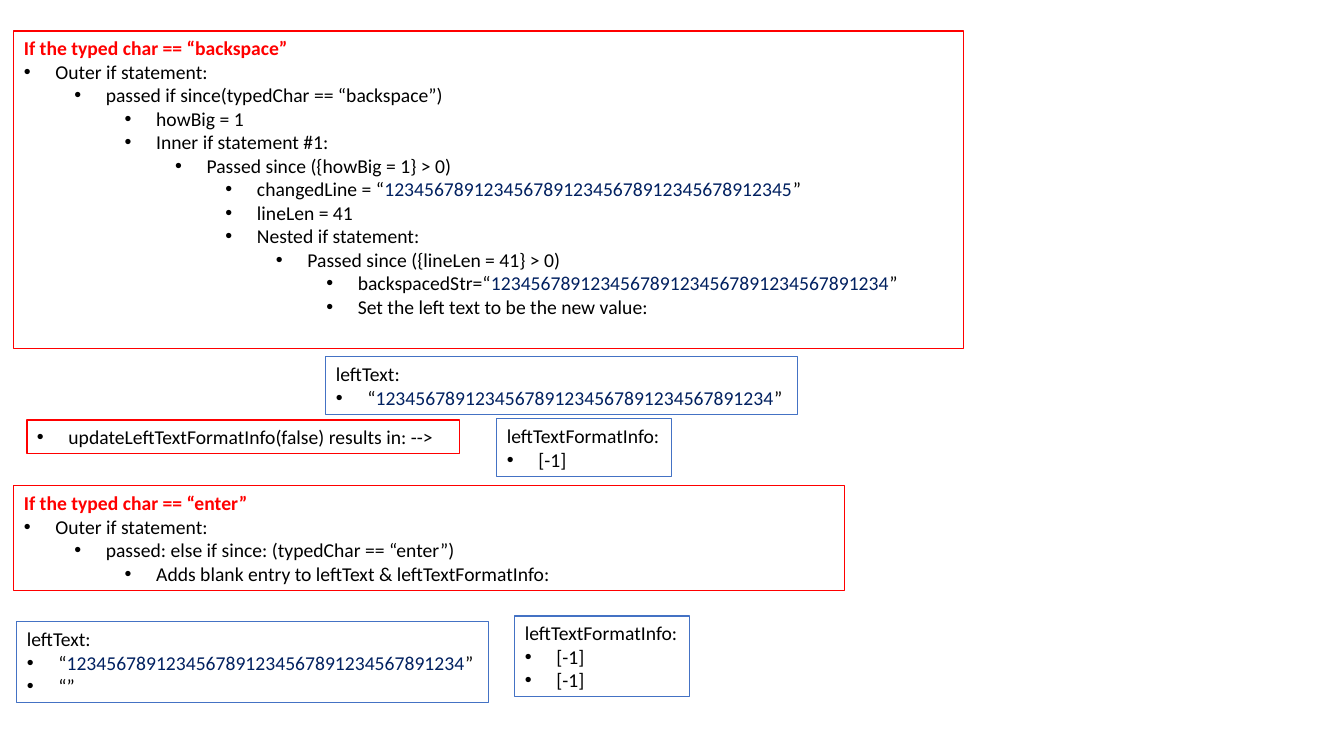
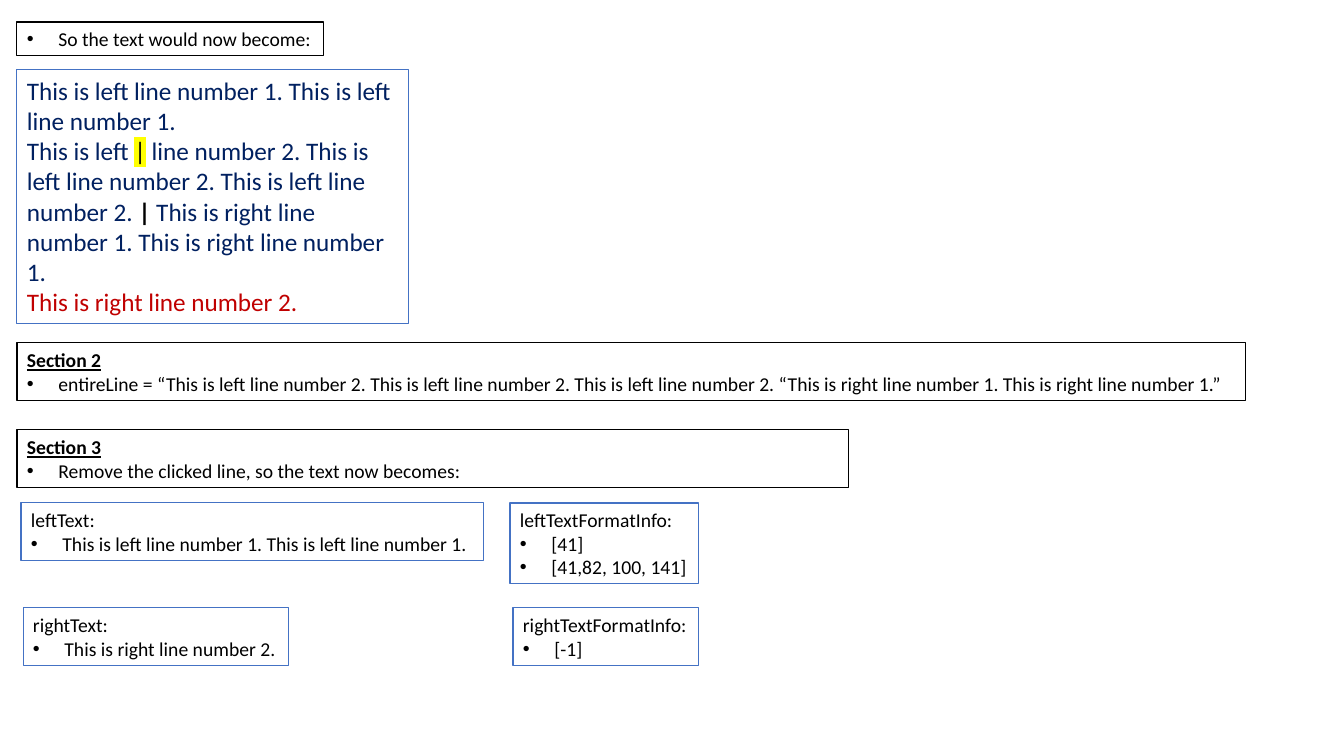
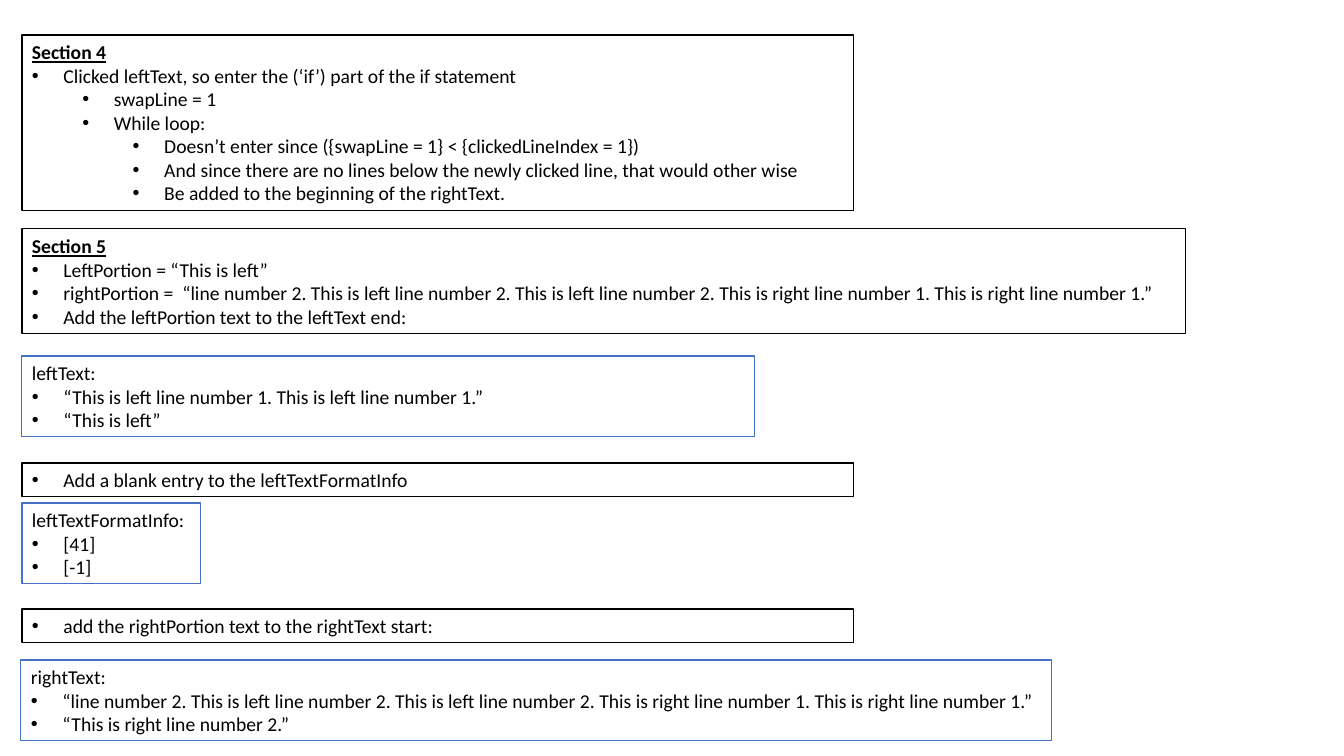
from dataclasses import dataclass

from lxml import etree
from pptx import Presentation
from pptx.dml.color import RGBColor
from pptx.enum.text import MSO_ANCHOR, MSO_AUTO_SIZE
from pptx.oxml.ns import qn
from pptx.util import Pt

TOP = MSO_ANCHOR.TOP
FIXED = MSO_AUTO_SIZE.NONE
SCALE = 914400 / 100.8


@dataclass(frozen=True)
class Theme:
    font: str = "Calibri"
    bullet_font: str = "Arial"
    body: int = 14
    sample: int = 18
    black: str = "000000"
    red: str = "FF0000"
    blue: str = "4472C4"
    navy: str = "002060"
    crimson: str = "C00000"
    yellow: str = "FFFF00"
    border: float = 0.75
    indent: float = 22.5
    step: int = 36
    row: float = 23.7
    margin: float = 10.3


T = Theme()
PLAIN = {}
NAVY = {"color": T.navy}
CRIMSON = {"color": T.crimson}
CONDITION = {"color": T.red, "bold": True}
SECTION = {"bold": True, "underline": True}
CURSOR = {"highlight": T.yellow}
JOIN = {"bold": True}

DIGITS = "1234567891234567891234567891234567891234"
LEFT_1 = "This is left line number 1. This is left line number 1."
LEFT_2 = " ".join(["This is left line number 2."] * 3)
RIGHT_1 = "This is right line number 1. This is right line number 1."
RIGHT_2 = "This is right line number 2."
RIGHT_PORTION = f"“{LEFT_2.removeprefix('This is left ')} {RIGHT_1}”"


def px(n):
    return round(n * SCALE)


def quoted(digits, label=""):
    return [(label + "“", PLAIN), (digits, NAVY), ("”", PLAIN)]


def style_run(r, size, color=T.black, bold=False, underline=False, highlight=None):
    r.font.name = T.font
    r.font.size = Pt(size)
    r.font.bold = bold
    r.font.underline = underline
    r.font.color.rgb = RGBColor.from_string(color)
    if highlight:
        mark = etree.Element(qn("a:highlight"))
        etree.SubElement(mark, qn("a:srgbClr")).set("val", highlight)
        r.font._element.find(qn("a:solidFill")).addnext(mark)


def add_bullet(p, level):
    p.level = level
    pPr = p._p.get_or_add_pPr()
    pPr.set("marL", str(Pt(T.indent + level * T.step)))
    pPr.set("indent", str(-Pt(T.indent)))
    etree.SubElement(pPr, qn("a:buFont")).set("typeface", T.bullet_font)
    etree.SubElement(pPr, qn("a:buChar")).set("char", "•")


def panel(s, box, border, lines, rows=None, size=T.body):
    x, y, w = box
    h = round(T.margin + T.row * size / T.body * (rows or len(lines)))
    sp = s.shapes.add_textbox(px(x), px(y), px(w), px(h))
    sp.line.color.rgb = RGBColor.from_string(border)
    sp.line.width = Pt(T.border)
    tf = sp.text_frame
    tf.word_wrap = True
    tf.auto_size = FIXED
    tf.vertical_anchor = TOP
    for i, (level, content) in enumerate(lines):
        p = tf.add_paragraph() if i else tf.paragraphs[0]
        if level is not None:
            add_bullet(p, level)
        runs = [(content, PLAIN)] if isinstance(content, str) else content
        for text, style in runs:
            r = p.add_run()
            r.text = text
            style_run(r, size, **style)


def variable(s, box, name, *values):
    panel(s, box, T.blue, [(None, name + ":")] + [(0, v) for v in values])


def condition(s, box, key, steps, rows=None):
    title = [(f"If the typed char == “{key}”", CONDITION)]
    panel(s, box, T.red, [(None, title)] + steps, rows)


def section(s, box, number, steps):
    title = [(f"Section {number}", SECTION)]
    panel(s, box, T.black, [(None, title)] + steps)


def note(s, box, text, border=T.black):
    panel(s, box, border, [(0, text)])


def typed_char_slide(s):
    condition(s, (14, 31, 950), "backspace", [
        (0, "Outer if statement:"),
        (1, "passed if since(typedChar == “backspace”)"),
        (2, "howBig = 1"),
        (2, "Inner if statement #1:"),
        (3, "Passed since ({howBig = 1} > 0)"),
        (4, quoted(DIGITS + "5", "changedLine = ")),
        (4, "lineLen = 41"),
        (4, "Nested if statement:"),
        (5, "Passed since ({lineLen = 41} > 0)"),
        (6, quoted(DIGITS, "backspacedStr=")),
        (6, "Set the left text to be the new value:"),
    ], rows=13)
    condition(s, (14, 486, 831), "enter", [
        (0, "Outer if statement:"),
        (1, "passed: else if since: (typedChar == “enter”)"),
        (2, "Adds blank entry to leftText & leftTextFormatInfo:"),
    ])
    variable(s, (326, 357, 472), "leftText", quoted(DIGITS))
    note(s, (27, 420, 433), "updateLeftTextFormatInfo(false) results in: -->", T.red)
    variable(s, (497, 419, 175), "leftTextFormatInfo", "[-1]")
    variable(s, (17, 622, 472), "leftText", quoted(DIGITS), "“”")
    variable(s, (515, 616, 175), "leftTextFormatInfo", "[-1]", "[-1]")


def clicked_line_slide(s):
    note(s, (17, 22, 307), "So the text would now become:")
    panel(s, (17, 70, 392), T.blue, [
        (None, [(LEFT_1, NAVY)]),
        (None, [
            ("This is left ", NAVY),
            ("|", CURSOR),
            (LEFT_2.removeprefix("This is left") + " ", NAVY),
            ("| ", JOIN),
            (RIGHT_1, NAVY),
        ]),
        (None, [(RIGHT_2, CRIMSON)]),
    ], rows=8, size=T.sample)
    section(s, (17, 343, 1229), 2, [(0, f"entireLine = “{LEFT_2} “{RIGHT_1}”")])
    section(s, (17, 430, 832), 3, [
        (0, "Remove the clicked line, so the text now becomes:"),
    ])
    variable(s, (21, 503, 463), "leftText", LEFT_1)
    variable(s, (510, 503, 189), "leftTextFormatInfo", "[41]", "[41,82, 100, 141]")
    variable(s, (23, 608, 266), "rightText", RIGHT_2)
    variable(s, (513, 608, 186), "rightTextFormatInfo", "[-1]")


def portions_slide(s):
    left = 22
    section(s, (left, 35, 832), 4, [
        (0, "Clicked leftText, so enter the (‘if’) part of the if statement"),
        (1, "swapLine = 1"),
        (1, "While loop:"),
        (2, "Doesn’t enter since ({swapLine = 1} < {clickedLineIndex = 1})"),
        (2, "And since there are no lines below the newly clicked line, "
            "that would other wise"),
        (2, "Be added to the beginning of the rightText."),
    ])
    section(s, (left, 229, 1164), 5, [
        (0, "LeftPortion = “This is left”"),
        (0, f"rightPortion =  {RIGHT_PORTION}"),
        (0, "Add the leftPortion text to the leftText end:"),
    ])
    variable(s, (left, 356, 733), "leftText", f"“{LEFT_1}”", "“This is left”")
    note(s, (left, 463, 832), "Add a blank entry to the leftTextFormatInfo")
    variable(s, (left, 503, 179), "leftTextFormatInfo", "[41]", "[-1]")
    note(s, (left, 609, 832), "add the rightPortion text to the rightText start:")
    variable(s, (21, 660, 1031), "rightText", RIGHT_PORTION, f"“{RIGHT_2}”")


prs = Presentation()
prs.slide_width = px(1344)
prs.slide_height = px(756)
blank = prs.slide_layouts[6]
for build in (typed_char_slide, clicked_line_slide, portions_slide):
    build(prs.slides.add_slide(blank))
prs.save("out.pptx")
